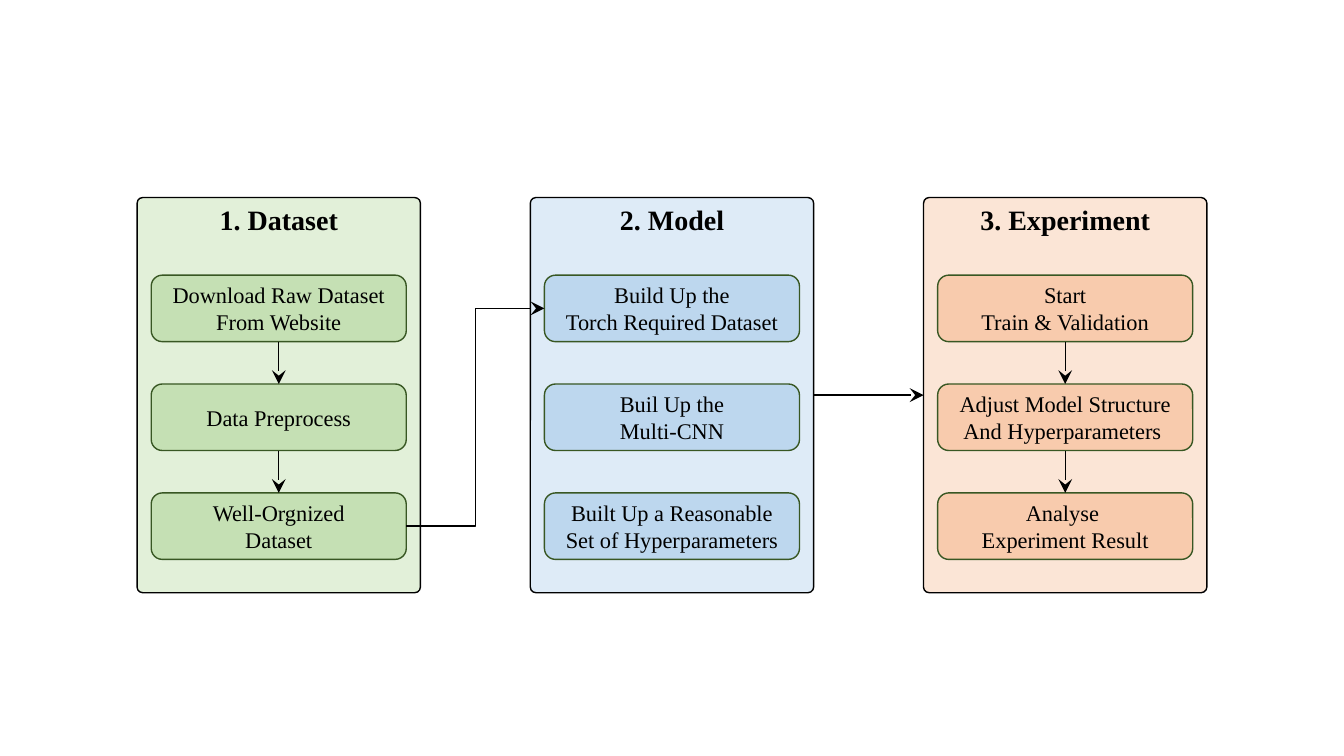
from lxml import etree
from pptx import Presentation
from pptx import util as u
from pptx.dml.color import RGBColor
from pptx.enum import shapes, text
from pptx.oxml import ns

FONT = "Times New Roman"
BLACK = "000000"
STEP_LINE = "385723"
PANEL_TOP, PANEL_WIDTH, PANEL_HEIGHT = 1.96, 2.81, 3.92
PANEL_LEFT, PANEL_PITCH = 1.36, 3.9
STEP_TOP, STEP_WIDTH, STEP_HEIGHT = 2.73, 2.53, 0.66
STEP_PITCH, STEP_INSET = 1.08, 0.14
TOP, LEFT, BOTTOM, RIGHT = range(4)

STAGES = [
    ("1. Dataset", "E2F0D9", "C5E0B4", [
        ["Download Raw Dataset", "From Website"],
        ["Data Preprocess"],
        ["Well-Orgnized", "Dataset"],
    ]),
    ("2. Model", "DEEBF7", "BDD7EE", [
        ["Build Up the", "Torch Required Dataset"],
        ["Buil Up the", "Multi-CNN"],
        ["Built Up a Reasonable Set of Hyperparameters"],
    ]),
    ("3. Experiment", "FBE5D6", "F8CBAD", [
        ["Start", "Train & Validation"],
        ["Adjust Model Structure", "And Hyperparameters "],
        ["Analyse ", "Experiment Result"],
    ]),
]


def colour(value):
    return RGBColor.from_string(value)


def write(box, lines, size, bold=False):
    frame = box.text_frame
    frame.word_wrap = True
    frame.vertical_anchor = text.MSO_ANCHOR.MIDDLE
    font_format = {"name": FONT, "size": u.Pt(size), "bold": bold}
    for index, line in enumerate(lines):
        para = frame.add_paragraph() if index else frame.paragraphs[0]
        para.alignment = text.PP_ALIGN.CENTER
        span = para.add_run()
        span.text = line
        span.font.color.rgb = colour(BLACK)
        for name, value in font_format.items():
            setattr(span.font, name, value)


def add_rounded(page, left, top, width, height, fill, line):
    box = page.shapes.add_shape(
        shapes.MSO_SHAPE.ROUNDED_RECTANGLE,
        *map(u.Inches, (left, top, width, height)))
    box.shadow.inherit = False
    box.fill.solid()
    box.fill.fore_color.rgb = colour(fill)
    box.line.color.rgb = colour(line)
    box.line.width = u.Pt(1)
    return box


def add_stage(page, left, title, panel_fill, step_fill, steps):
    panel = add_rounded(page, left, PANEL_TOP, PANEL_WIDTH, PANEL_HEIGHT,
                        panel_fill, BLACK)
    panel.adjustments[0] = 0.02
    heading = page.shapes.add_textbox(
        *map(u.Inches, (left, PANEL_TOP, PANEL_WIDTH, 0.44)))
    write(heading, [title], 20, bold=True)
    boxes = []
    for row, lines in enumerate(steps):
        box = add_rounded(page, left + STEP_INSET, STEP_TOP + row * STEP_PITCH,
                          STEP_WIDTH, STEP_HEIGHT, step_fill, STEP_LINE)
        write(box, lines, 16)
        boxes.append(box)
    return panel, boxes


def add_arrow(page, source, source_site, target, target_site,
              kind=shapes.MSO_CONNECTOR.STRAIGHT):
    arrow = page.shapes.add_connector(kind, 0, 0, 0, 0)
    arrow.begin_connect(source, source_site)
    arrow.end_connect(target, target_site)
    arrow.line.color.rgb = colour(BLACK)
    arrow.line.width = u.Pt(1)
    etree.SubElement(arrow.line._get_or_add_ln(), ns.qn("a:tailEnd"),
                     type="stealth", w="lg", len="lg")
    etree.SubElement(arrow._element.spPr, ns.qn("a:effectLst"))


def main():
    deck = Presentation()
    deck.slide_width, deck.slide_height = u.Inches(13.33), u.Inches(7.5)
    page = deck.slides.add_slide(deck.slide_layouts[6])

    dataset, model, experiment = [
        add_stage(page, PANEL_LEFT + column * PANEL_PITCH, *stage)
        for column, stage in enumerate(STAGES)]

    for _, steps in (dataset, experiment):
        for upper, lower in zip(steps, steps[1:]):
            add_arrow(page, upper, BOTTOM, lower, TOP)
    add_arrow(page, dataset[1][-1], RIGHT, model[1][0], LEFT,
              shapes.MSO_CONNECTOR.ELBOW)
    add_arrow(page, model[0], RIGHT, experiment[0], LEFT)

    deck.save("out.pptx")


if __name__ == "__main__":
    main()
